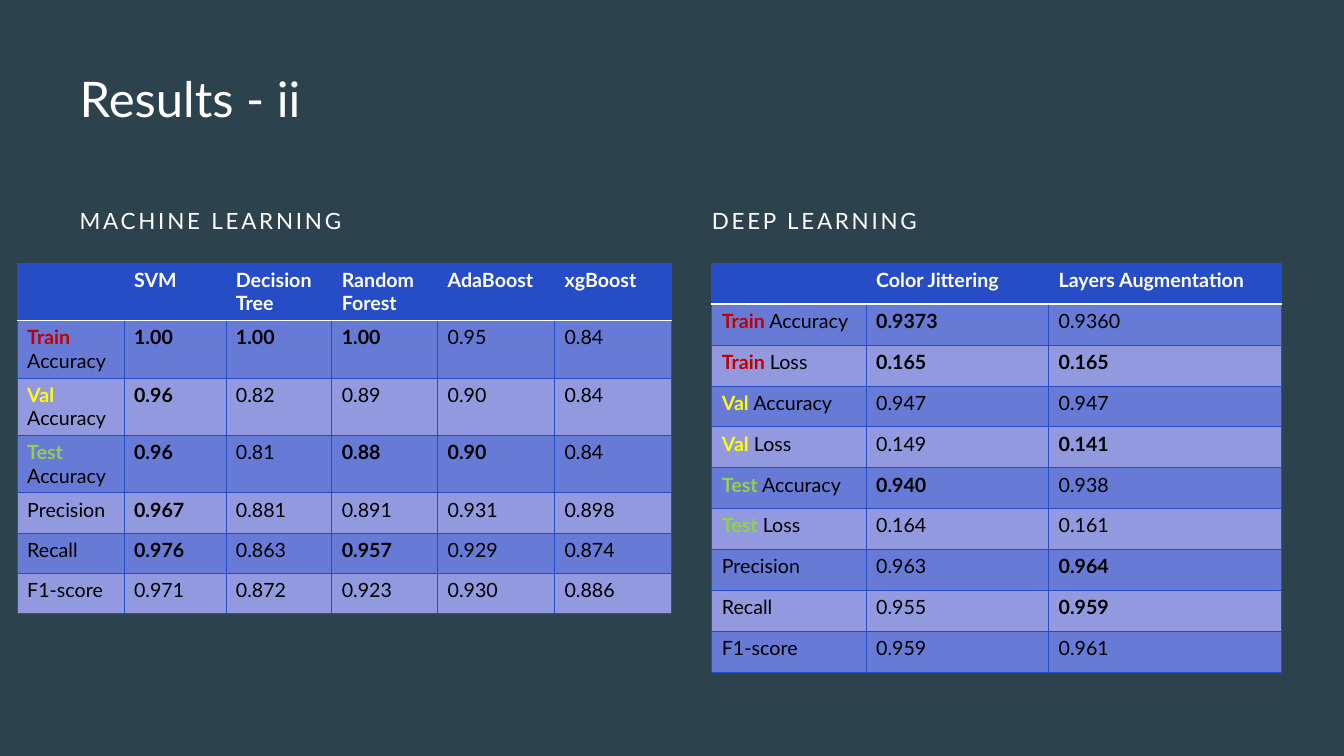
from lxml.etree import SubElement as Sub
from pptx import Presentation
from pptx.dml.color import RGBColor
from pptx.enum.text import MSO_ANCHOR as Anchor, MSO_AUTO_SIZE as Auto, PP_ALIGN as Align
from pptx.oxml.ns import qn
from pptx.util import Inches, Pt

FONT = "Lato"
BACK, WHITE, BLACK = "2C434E", "FFFFFF", "000000"
BLUE, DARK, LIGHT = "264CC6", "677AD5", "9299DF"
WORDS = {"Train": "C00000", "Val": "FFFF00", "Test": "92D050"}
TITLE = "Results - ii"

PARTS = [
    {
        "head": "MACHINE LEARNING",
        "head_x": 0.79,
        "x": 0.17,
        "cols": [1.06, 1.01, 1.05, 1.05, 1.16, 1.16],
        "rows": [0.57] * 4 + [0.4] * 3,
        "data": [
            ["", "*SVM*", "*Decision Tree*", "*Random Forest*", "*AdaBoost*", "*xgBoost*"],
            ["*Train* Accuracy", "*1.00*", "*1.00*", "*1.00*", "0.95", "0.84"],
            ["*Val*\nAccuracy", "*0.96*", "0.82", "0.89", "0.90", "0.84"],
            ["*Test*\nAccuracy", "*0.96*", "0.81", "*0.88*", "*0.90*", "0.84"],
            ["Precision", "*0.967*", "0.881", "0.891", "0.931", "0.898"],
            ["Recall", "*0.976*", "0.863", "*0.957*", "0.929", "0.874"],
            ["F1-score", "0.971", "0.872", "0.923", "0.930", "0.886"],
        ],
    },
    {
        "head": "DEEP LEARNING",
        "head_x": 7.06,
        "x": 7.06,
        "cols": [1.53, 1.81, 2.31],
        "rows": [4.06 / 10] * 10,
        "data": [
            ["", "*Color Jittering*", "*Layers Augmentation*"],
            ["*Train* Accuracy", "*0.9373*", "0.9360"],
            ["*Train* Loss", "*0.165*", "*0.165*"],
            ["*Val* Accuracy", "0.947", "0.947"],
            ["*Val* Loss", "0.149", "*0.141*"],
            ["*Test* Accuracy", "*0.940*", "0.938"],
            ["*Test* Loss", "0.164", "0.161"],
            ["Precision", "0.963", "*0.964*"],
            ["Recall", "0.955", "*0.959*"],
            ["F1-score", "0.959", "0.961"],
        ],
    },
]


def paint(fill, color):
    fill.solid()
    fill.fore_color.rgb = RGBColor.from_string(color)


def apply(item, form):
    for name, value in form.items():
        setattr(item, name, value)


def write(para, text, size, color, bold=False):
    run = para.add_run()
    run.text = text
    apply(run.font, {"name": FONT, "size": Pt(size), "bold": bold})
    paint(run.font.fill, color)
    return run


def place(shape, x, y, w, h, anchor):
    apply(shape, dict(zip(("left", "top", "width", "height"), map(Inches, (x, y, w, h)))))
    frame = shape.text_frame
    apply(frame, {
        "margin_left": 0, "margin_right": 0, "margin_top": 0, "margin_bottom": 0,
        "word_wrap": True, "auto_size": Auto.NONE, "vertical_anchor": anchor,
    })
    para = frame.paragraphs[0]
    para.alignment = Align.LEFT
    return para


def edge(cell, head):
    props = cell._tc.get_or_add_tcPr()
    for at, side in enumerate("LRTB"):
        color, width = (WHITE, 1) if head and side == "B" else (BLUE, 0.5)
        line = Sub(props, qn("a:ln" + side), w=str(Pt(width)))
        Sub(Sub(line, qn("a:solidFill")), qn("a:srgbClr"), val=color)
        props.insert(at, line)


def fill_cell(cell, text, row):
    paint(cell.fill, BLUE if row == 0 else DARK if row % 2 else LIGHT)
    edge(cell, row == 0)
    base = BLACK if row else WHITE
    for at, line in enumerate(text.split("\n")):
        frame = cell.text_frame
        para = frame.add_paragraph() if at else frame.paragraphs[0]
        for bit, piece in enumerate(line.split("*")):
            if piece:
                write(para, piece, 14, WORDS.get(piece, base), bit % 2 == 1)


def add_part(slide, part):
    box = slide.shapes.add_textbox(0, 0, 0, 0)
    para = place(box, part["head_x"], 1.7, 5.49, 0.62, Anchor.BOTTOM)
    apply(para, {"line_spacing": 1.2, "space_before": Pt(10)})
    write(para, part["head"], 16, WHITE)._r.get_or_add_rPr().set("spc", "200")

    cols, rows, data = part["cols"], part["rows"], part["data"]
    area = map(Inches, (part["x"], 2.61, sum(cols), sum(rows)))
    table = slide.shapes.add_table(len(rows), len(cols), *area).table
    for col, width in zip(table.columns, cols):
        col.width = Inches(width)
    for row, height in zip(table.rows, rows):
        row.height = Inches(height)
    for r, line in enumerate(data):
        for c, text in enumerate(line):
            fill_cell(table.cell(r, c), text, r)


def main():
    deck = Presentation()
    apply(deck, {"slide_width": Inches(13.33), "slide_height": Inches(7.5)})
    slide = deck.slides.add_slide(deck.slide_layouts[5])
    paint(slide.background.fill, BACK)
    para = place(slide.shapes.title, 0.79, 0.68, 11.73, 0.74, Anchor.TOP)
    write(para, TITLE, 35, WHITE)
    for part in PARTS:
        add_part(slide, part)
    deck.save("out.pptx")


if __name__ == "__main__":
    main()
